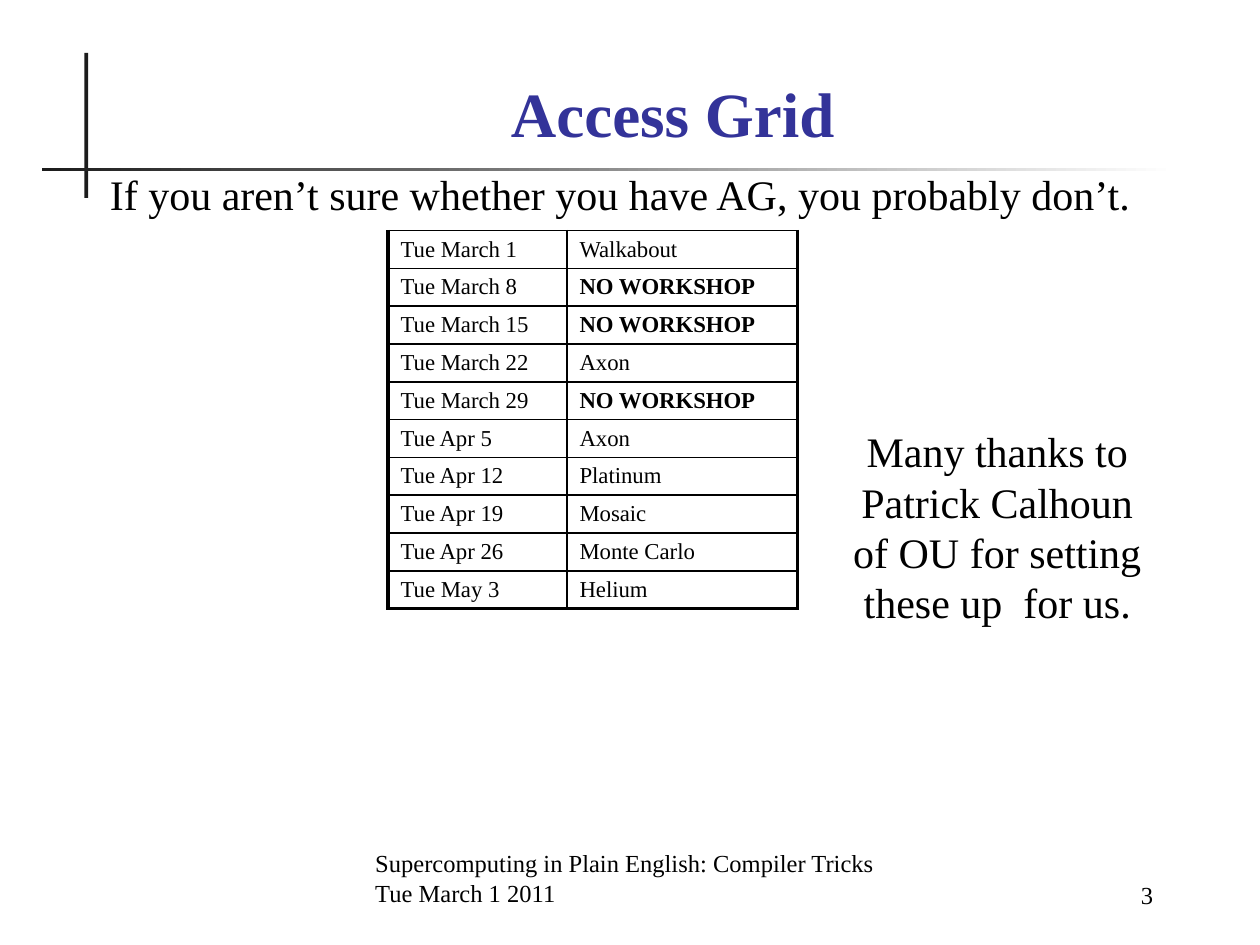
from lxml.etree import SubElement
from pptx import Presentation
from pptx.dml.color import RGBColor
from pptx.enum.shapes import MSO_SHAPE
from pptx.enum.text import MSO_ANCHOR, MSO_AUTO_SIZE, PP_ALIGN
from pptx.oxml.ns import qn
from pptx.util import Inches, Pt

BLACK = RGBColor(0, 0, 0)
WHITE = RGBColor(255, 255, 255)
CHARCOAL = RGBColor(0x1C, 0x1C, 0x1C)
INDIGO = RGBColor(0x33, 0x33, 0x99)
FONT = "Times New Roman"

TITLE = "Access Grid"
BODY = "If you aren’t sure whether you have AG, you probably don’t."
THANKS = "Many thanks to Patrick Calhoun of OU for setting these up  for us."
FOOTER = ["Supercomputing in Plain English: Compiler Tricks", "Tue March 1 2011"]
PAGE = "3"
OFF = "NO WORKSHOP"
SCHEDULE = [
    ("Tue March 1", "Walkabout"),
    ("Tue March 8", OFF),
    ("Tue March 15", OFF),
    ("Tue March 22", "Axon"),
    ("Tue March 29", OFF),
    ("Tue Apr 5", "Axon"),
    ("Tue Apr 12", "Platinum"),
    ("Tue Apr 19", "Mosaic"),
    ("Tue Apr 26", "Monte Carlo"),
    ("Tue May 3", "Helium"),
]
COL_WIDTHS = [1.42, 1.83]
ROW_HEIGHT = 0.3
THIN, THICK = 1, 2.25


def write(tf, lines, size=24, color=BLACK, bold=False, align=PP_ALIGN.LEFT,
          anchor=MSO_ANCHOR.TOP, spacing=None):
    tf.word_wrap = True
    tf.vertical_anchor = anchor
    for i, line in enumerate(lines):
        p = tf.paragraphs[0] if i == 0 else tf.add_paragraph()
        p.alignment = align
        p.line_spacing = spacing
        p.space_before = Pt(0)
        r = p.add_run()
        r.text = line
        r.font.name = FONT
        r.font.size = Pt(size)
        r.font.bold = bold
        r.font.color.rgb = color


def place(sp, x, y, w, h):
    sp.left, sp.top, sp.width, sp.height = map(Inches, (x, y, w, h))
    sp.text_frame.auto_size = MSO_AUTO_SIZE.NONE
    return sp.text_frame


def add_text(s, box, lines, **fmt):
    sp = s.shapes.add_textbox(*map(Inches, box))
    write(sp.text_frame, lines, **fmt)


def add_bar(s, *box):
    sp = s.shapes.add_shape(MSO_SHAPE.RECTANGLE, *map(Inches, box))
    sp.shadow.inherit = False
    sp.line.fill.background()
    sp.fill.solid()
    sp.fill.fore_color.rgb = CHARCOAL
    return sp


def set_borders(cell, **widths):
    tc_pr = cell._tc.get_or_add_tcPr()
    for i, side in enumerate("LRTB"):
        ln = tc_pr.makeelement(qn(f"a:ln{side}"), {"w": str(Pt(widths[side]))})
        fill = SubElement(ln, qn("a:solidFill"))
        SubElement(fill, qn("a:srgbClr"), val=str(BLACK))
        tc_pr.insert(i, ln)


def add_schedule(s, x, y):
    rows, cols = len(SCHEDULE), len(COL_WIDTHS)
    table = s.shapes.add_table(rows, cols, Inches(x), Inches(y),
                               Inches(sum(COL_WIDTHS)),
                               Inches(rows * ROW_HEIGHT)).table
    table.first_row = table.horz_banding = False
    for col, width in zip(table.columns, COL_WIDTHS):
        col.width = Inches(width)
    for r, entry in enumerate(SCHEDULE):
        table.rows[r].height = Inches(ROW_HEIGHT)
        for c, text in enumerate(entry):
            cell = table.cell(r, c)
            cell.fill.background()
            cell.margin_top = cell.margin_bottom = Inches(0.05)
            write(cell.text_frame, [text], size=13, bold=text == OFF)
            set_borders(cell, L=THICK if c == 0 else THIN,
                        R=THICK if c == cols - 1 else THIN, T=THIN,
                        B=THICK if r == rows - 1 else THIN)


def main():
    prs = Presentation()
    prs.slide_width, prs.slide_height = Inches(10), Inches(7.5)
    s = prs.slides.add_slide(prs.slide_layouts[1])

    add_bar(s, 0.67, 0.42, 0.03, 1.15)
    rule = add_bar(s, 0.33, 1.33, 9, 0.03)
    rule.fill.gradient()
    rule.fill.gradient_angle = 0
    for stop, color in zip(rule.fill.gradient_stops, (CHARCOAL, WHITE)):
        stop.color.rgb = color

    write(place(s.shapes.title, 1.08, 0.5, 8.52, 0.74), [TITLE], size=36,
          color=INDIGO, bold=True, align=PP_ALIGN.CENTER,
          anchor=MSO_ANCHOR.BOTTOM)

    tf = place(s.placeholders[1], 0.67, 1.33, 8.5, 5.08)
    p_pr = tf.paragraphs[0]._p.get_or_add_pPr()
    p_pr.set("marL", "0")
    p_pr.set("indent", "0")
    SubElement(p_pr, qn("a:buNone"))
    write(tf, [BODY], align=PP_ALIGN.CENTER, spacing=0.9)

    add_schedule(s, 3.08, 1.83)
    add_text(s, (6.58, 3.33, 2.67, 1.72), [THANKS], align=PP_ALIGN.CENTER)
    add_text(s, (2.88, 6.75, 4.37, 0.5), FOOTER, size=14,
             anchor=MSO_ANCHOR.BOTTOM)
    add_text(s, (7.83, 6.77, 1.42, 0.5), [PAGE], size=14,
             align=PP_ALIGN.RIGHT, anchor=MSO_ANCHOR.BOTTOM)
    prs.save("out.pptx")


if __name__ == "__main__":
    main()
